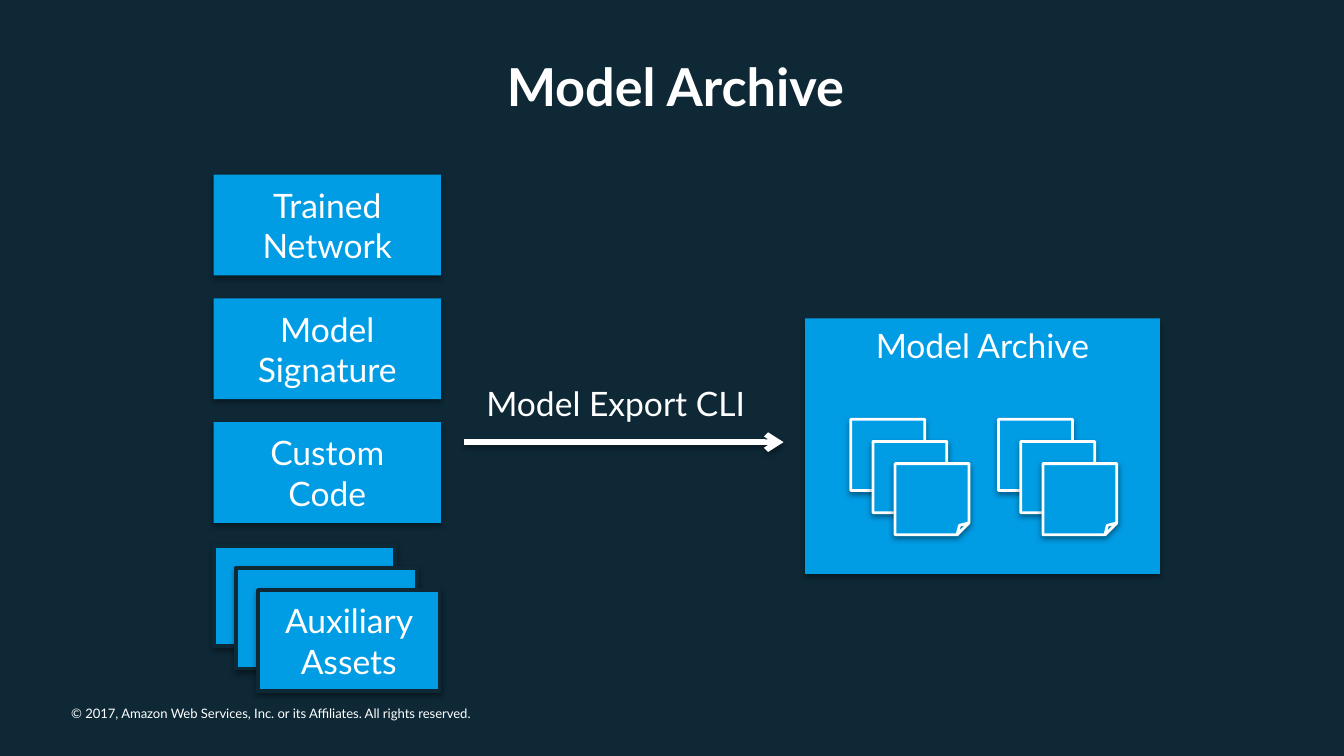
from lxml import etree
from pptx import Presentation
from pptx import util as u
from pptx.dml.color import RGBColor
from pptx.enum import shapes, text
from pptx.oxml.ns import qn

Inches, Pt = u.Inches, u.Pt
NAVY, BLUE, WHITE = "0E2836", "009CE4", "FFFFFF"
RECTANGLE = shapes.MSO_SHAPE.RECTANGLE
PAGE = shapes.MSO_SHAPE.FOLDED_CORNER
TOP, MIDDLE = text.MSO_ANCHOR.TOP, text.MSO_ANCHOR.MIDDLE
LEFT, CENTER = text.PP_ALIGN.LEFT, text.PP_ALIGN.CENTER


def color(value):
    return RGBColor.from_string(value)


def add_shadow(effects):
    """Fill an empty effect list with a soft shadow straight below."""
    shadow = etree.SubElement(effects, qn("a:outerShdw"), blurRad=str(Pt(3.1)),
                              dist=str(Pt(1.6)), dir="5400000", rotWithShape="0")
    black = etree.SubElement(shadow, qn("a:srgbClr"), val="000000")
    etree.SubElement(black, qn("a:alpha"), val="38000")


def write(shape, words, size=18, bold=False, align=CENTER, anchor=MIDDLE):
    frame = shape.text_frame
    frame.word_wrap = True
    frame.vertical_anchor = anchor
    frame.text = words
    paragraph = frame.paragraphs[0]
    paragraph.alignment = align
    for run in paragraph.runs:
        run.font.name = "Lato"
        run.font.size = Pt(size)
        run.font.bold = bold
        run.font.color.rgb = color(WHITE)


def add_text(slide, box, words, **style):
    shape = slide.shapes.add_textbox(*map(Inches, box))
    write(shape, words, **style)
    return shape


def add_box(slide, box, kind=RECTANGLE, line=None, width=0):
    shape = slide.shapes.add_shape(kind, *map(Inches, box))
    shape.fill.solid()
    shape.fill.fore_color.rgb = color(BLUE)
    if line:
        shape.line.color.rgb = color(line)
        shape.line.width = Pt(width)
    else:
        shape.line.fill.background()
    shape.shadow.inherit = False
    add_shadow(shape._element.spPr.find(qn("a:effectLst")))
    return shape


def add_stack(slide, box, **style):
    """Three overlapping boxes; returns the front one."""
    left, top, width, height = box
    step = 0.33 / 2
    for i in range(3):
        front = add_box(slide, (left + i * step, top + i * step, width, height), **style)
    return front


def add_inputs(slide, left, top):
    """Column of the parts that go into the archive."""
    pitch, height = 0.92, 0.75
    labels = ["Trained Network", "Model\vSignature", "Custom\vCode"]
    for i, label in enumerate(labels):
        write(add_box(slide, (left, top + i * pitch, 1.69, height)), label)
    assets = add_stack(slide, (left, top + len(labels) * pitch, 1.35, height),
                       line=NAVY, width=2)
    write(assets, "Auxiliary Assets")


def add_export(slide, left, top, width):
    """Export arrow with its label above."""
    arrow = slide.shapes.add_connector(
        shapes.MSO_CONNECTOR.STRAIGHT,
        Inches(left), Inches(top), Inches(left + width), Inches(top))
    arrow.line.color.rgb = color(WHITE)
    arrow.line.width = Pt(3)
    etree.SubElement(arrow.line._get_or_add_ln(), qn("a:tailEnd"), type="arrow")
    add_shadow(etree.SubElement(arrow._element.spPr, qn("a:effectLst")))
    add_text(slide, (left + 0.07, top - 0.49, 2.33, 0.4), "Model Export CLI",
             align=LEFT, anchor=TOP)


def add_archive(slide, left, top, width, height):
    """Archive box holding two stacks of pages."""
    write(add_box(slide, (left, top, width, height)), "Model Archive", anchor=TOP)
    for i in range(2):
        add_stack(slide, (left + 0.34 + i * 1.1, top + 0.75, 0.55, 0.53),
                  kind=PAGE, line=WHITE, width=1.5)


def add_footer(slide, box):
    footer = add_text(
        slide, box,
        "© 2017, Amazon Web Services, Inc. or its Affiliates. All rights reserved.",
        size=7, align=LEFT, anchor=TOP)
    frame = footer.text_frame
    frame.margin_left = frame.margin_right = frame.margin_top = frame.margin_bottom = 0


def main():
    presentation = Presentation()
    presentation.slide_width = Inches(10)
    presentation.slide_height = Inches(10 * 9 / 16)
    slide = presentation.slides.add_slide(presentation.slide_layouts[6])
    slide.background.fill.solid()
    slide.background.fill.fore_color.rgb = color(NAVY)

    add_footer(slide, (0.53, 5.25, 3.31, 0.12))
    add_inputs(slide, 1.59, 1.3)
    add_export(slide, 3.45, 3.29, 2.38)
    add_archive(slide, 5.99, 2.37, 2.64, 1.9)
    add_text(slide, (0.37, 0.13, 9.31, 1.01), "Model Archive", size=28, bold=True)
    presentation.save("out.pptx")


if __name__ == "__main__":
    main()
